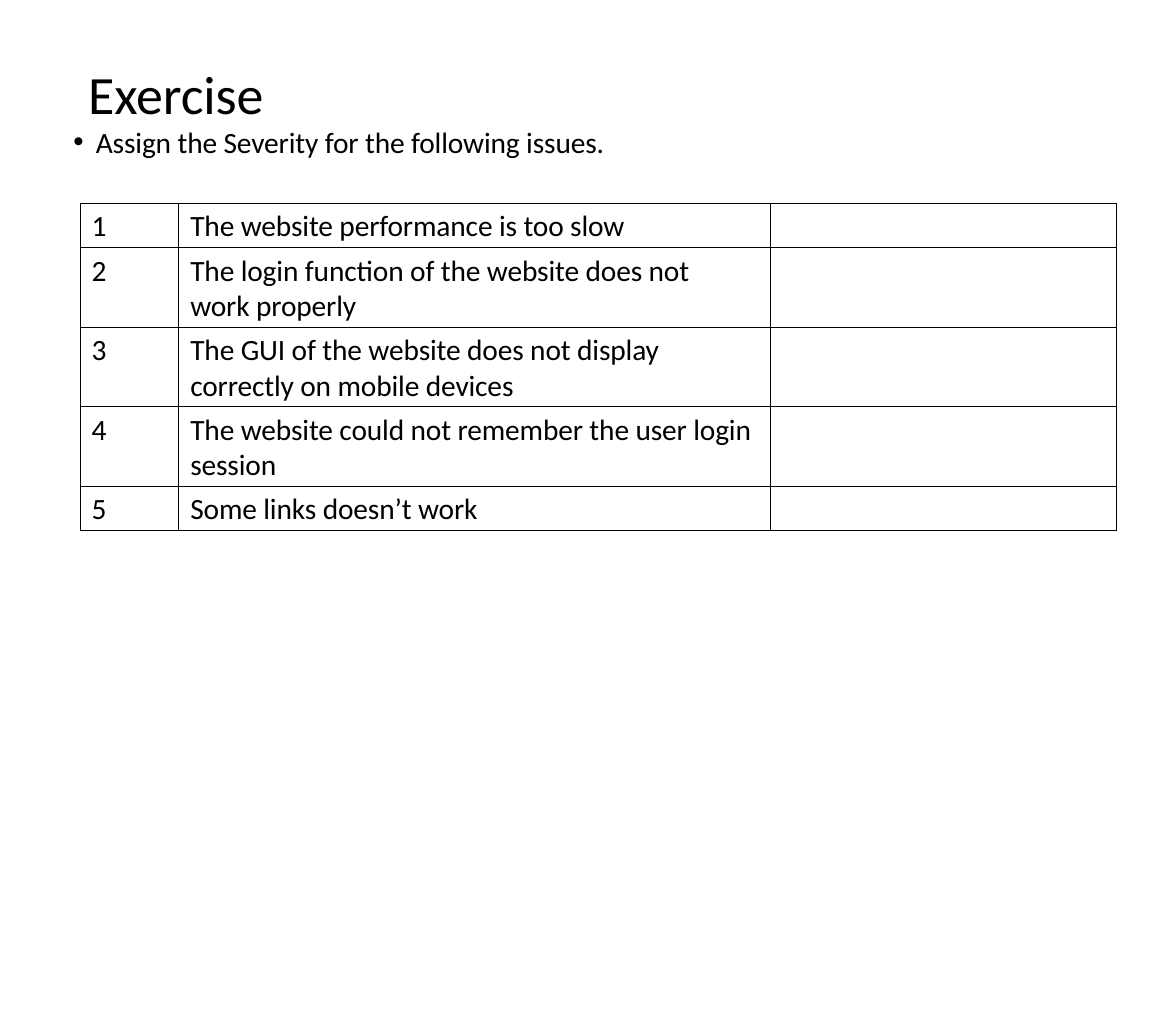
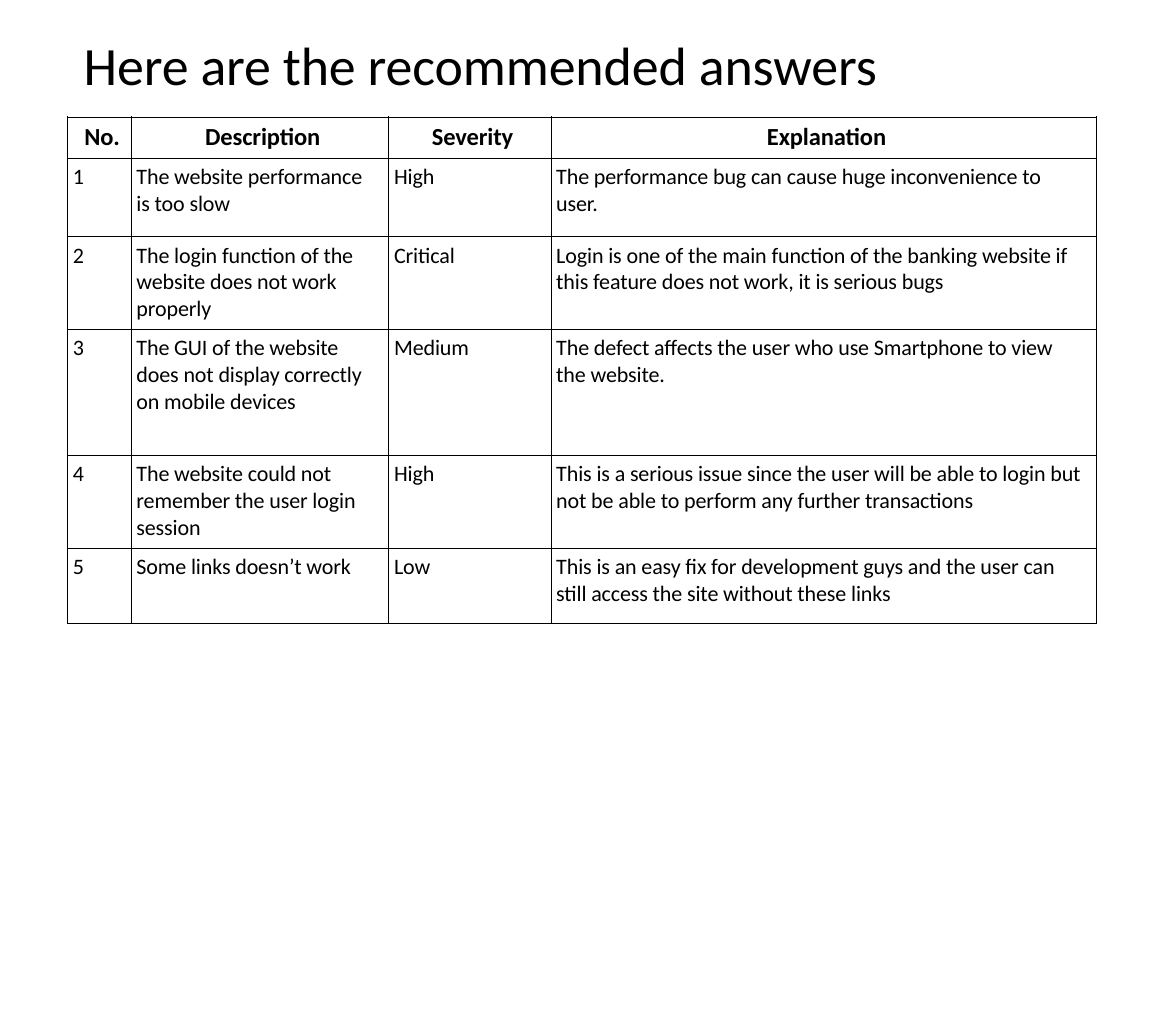
"""Build the severity exercise and its recommended answers."""
from dataclasses import dataclass

import pptx
import pptx.dml.color
import pptx.enum.text
import pptx.oxml
import pptx.oxml.ns
import pptx.util

Cm = pptx.util.Cm
Pt = pptx.util.Pt
qn = pptx.oxml.ns.qn
Align = pptx.enum.text.PP_ALIGN


@dataclass(frozen=True)
class Theme:
    font: str = "Calibri"
    ink: str = "000000"
    title: int = 44
    body: int = 24
    head: int = 20
    cell: int = 18
    track: int = -10
    rule: float = 1


THEME = Theme()
ISSUES = [
    ["1", "The website performance is too slow", ""],
    ["2", "The login function of the website does not\vwork properly", ""],
    ["3", "The GUI of the website does not display\vcorrectly on mobile devices", ""],
    ["4", "The website could not remember the user login\vsession", ""],
    ["5", "Some links doesn’t work", ""],
]
ANSWERS = [
    ["No.", "Description", "Severity", "Explanation"],
    ["1", "The website performance\vis too slow", "High",
     "The performance bug can cause huge inconvenience to\vuser."],
    ["2", "The login function of the\vwebsite does not work\vproperly", "Critical",
     "Login is one of the main function of the banking website if\v"
     "this feature does not work, it is serious bugs"],
    ["3", "The GUI of the website\vdoes not display correctly\von mobile devices", "Medium",
     "The defect affects the user who use Smartphone to view\vthe website."],
    ["4", "The website could not\vremember the user login\vsession", "High",
     "This is a serious issue since the user will be able to login but\v"
     "not be able to perform any further transactions"],
    ["5", "Some links doesn’t work", "Low",
     "This is an easy fix for development guys and the user can\v"
     "still access the site without these links"],
]


def style(para, size, bold=False, align=Align.LEFT):
    """Set the font and alignment of a paragraph."""
    para.font.name = THEME.font
    para.font.size = Pt(size)
    para.font.bold = bold
    para.font.color.rgb = pptx.dml.color.RGBColor.from_string(THEME.ink)
    para.alignment = align


def track(shape):
    """Tighten the letter spacing of all runs in a shape."""
    for run in shape.element.iter(qn("a:r")):
        run.get_or_add_rPr().set("spc", str(THEME.track))


def place(holder, text, box, size):
    """Move a placeholder and fill it with one line of text."""
    holder.left, holder.top, holder.width, holder.height = map(Cm, box)
    frame = holder.text_frame
    frame.text = text
    frame.word_wrap = True
    frame.auto_size = pptx.enum.text.MSO_AUTO_SIZE.NONE
    frame.margin_left = frame.margin_right = frame.margin_bottom = 0
    frame.margin_top = Cm(0.03)
    para = frame.paragraphs[0]
    para.space_before = Pt(1)
    style(para, size)
    track(holder)


def bullet(holder):
    """Give each paragraph of a placeholder a hanging bullet."""
    for para in holder.element.iter(qn("a:p")):
        props = para.get_or_add_pPr()
        props.set("marL", str(Cm(0.65)))
        props.set("indent", str(-Cm(0.65)))
        props.append(pptx.oxml.parse_xml(
            f'<a:buChar {pptx.oxml.ns.nsdecls("a")} char="•"/>'))
        mark = props.find(qn("a:buChar"))
        font = props.find(qn("a:defRPr"))
        if font is not None:
            font.addprevious(mark)


def border(shape):
    """Rule all four sides of every table cell."""
    for props in shape.element.iter(qn("a:tcPr")):
        for spot, side in enumerate("LRTB"):
            props.insert(spot, pptx.oxml.parse_xml(
                f'<a:ln{side} {pptx.oxml.ns.nsdecls("a")} w="{Pt(THEME.rule)}">'
                f'<a:solidFill><a:srgbClr val="{THEME.ink}"/></a:solidFill>'
                f'</a:ln{side}>'))


def table(slide, data, spot, cols, rows, size, inset, header=False):
    """Add a ruled table with plain cells."""
    shape = slide.shapes.add_table(len(rows), len(cols), *map(Cm, spot),
                                   Cm(sum(cols)), Cm(sum(rows)))
    grid = shape.table
    grid.first_row = header
    grid.horz_banding = False
    for col, width in zip(grid.columns, cols):
        col.width = Cm(width)
    for index, (row, height) in enumerate(zip(grid.rows, rows)):
        row.height = Cm(height)
        head = header and index == 0
        for cell, text in zip(row.cells, data[index]):
            cell.fill.background()
            cell.margin_left = Cm(inset)
            cell.margin_right = cell.margin_bottom = 0
            cell.margin_top = Cm(0.15)
            cell.text = text
            style(cell.text_frame.paragraphs[0], THEME.head if head else size,
                  head, Align.CENTER if head else Align.LEFT)
    border(shape)
    track(shape)


def task(deck):
    """Add the exercise slide."""
    slide = deck.slides.add_slide(deck.slide_layouts[1])
    place(slide.shapes.title, "Exercise", (2.54, 1.7, 6, 1.93), THEME.title)
    body = slide.placeholders[1]
    place(body, "Assign the Severity for the following issues.",
          (2.11, 3.53, 16, 1.09), THEME.body)
    bullet(body)
    table(slide, ISSUES, (2.31, 5.87), (2.84, 17.04, 9.96),
          (1.27, 2.29, 2.29, 2.29, 1.27), THEME.body, 0.33)


def key(deck):
    """Add the answers slide."""
    slide = deck.slides.add_slide(deck.slide_layouts[5])
    place(slide.shapes.title, "Here are the recommended answers",
          (2.41, 0.86, 25, 1.93), THEME.title)
    table(slide, ANSWERS, (1.95, 3.37), (1.83, 7.42, 4.67, 15.72),
          (1.19, 2.26, 2.67, 3.63, 2.67, 2.16), THEME.cell, 0.15, header=True)


def main():
    """Build and save the deck."""
    deck = pptx.Presentation()
    deck.slide_width, deck.slide_height = Cm(33.87), Cm(29.72)
    task(deck)
    key(deck)
    deck.save("out.pptx")


if __name__ == "__main__":
    main()
